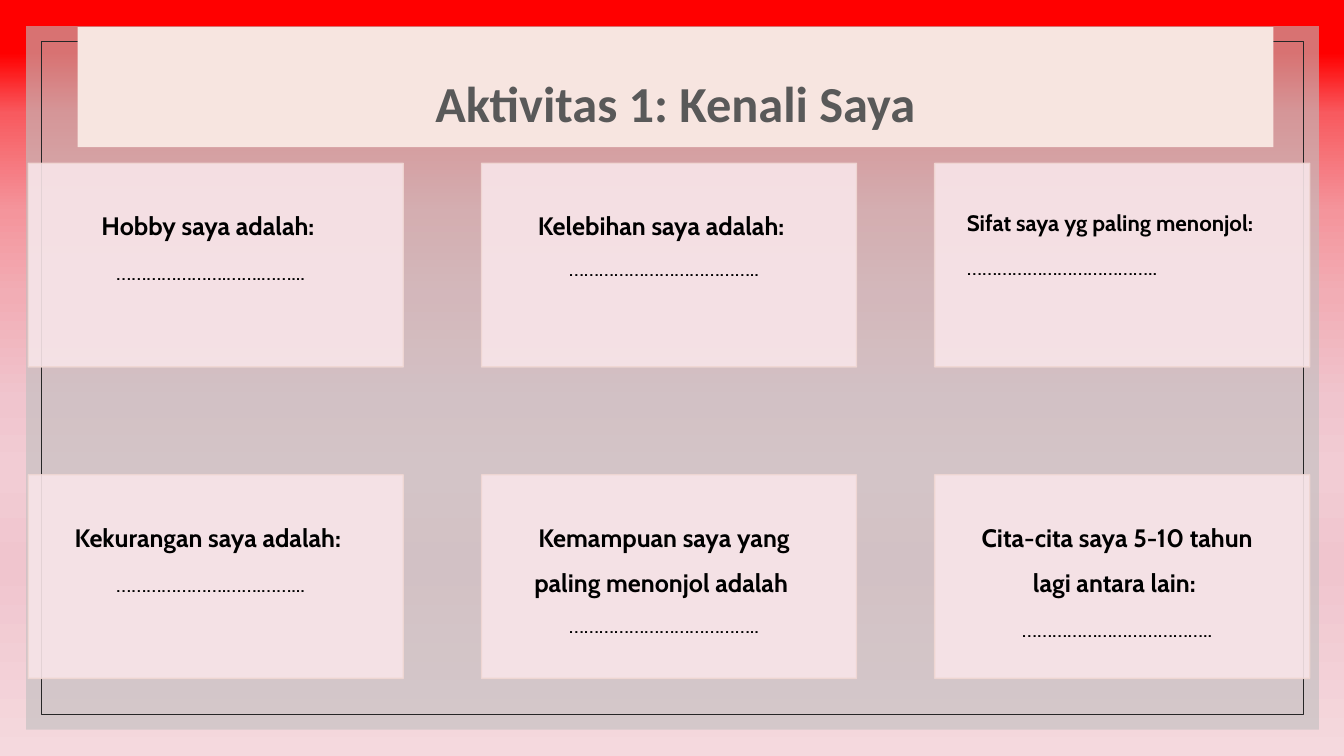
"""Build the slide "Aktivitas 1: Kenali Saya" with six fill-in cards."""
import pptx
import pptx.util
import pptx.dml.color
import pptx.enum.shapes
import pptx.enum.text
import pptx.oxml
import pptx.oxml.ns
from lxml import etree

Inches, Pt = pptx.util.Inches, pptx.util.Pt
RGB = pptx.dml.color.RGBColor.from_string
ALIGN = pptx.enum.text.PP_ALIGN
ANCHOR = pptx.enum.text.MSO_ANCHOR
qn = pptx.oxml.ns.qn

COLORS = {"panel": "BFBFBF", "frame": "262626", "card": "F8E5E9", "edge": "F0D7D3",
          "banner": "F7E5E0", "title": "595959", "text": "000000"}
STOPS = [(7, "FF0000"), (15, "F85A5F"), (28, "F4959C"), (39, "F2ADB5"),
         (53, "F0C5CE"), (62, "F2CCD4"), (75, "F0C5CE"), (100, "F5D9DE")]

deck = pptx.Presentation()
deck.slide_width, deck.slide_height = Inches(13.33), Inches(7.5)
slide = deck.slides.add_slide(deck.slide_layouts[6])

back = slide.background.fill
back.gradient()
grad = slide.background._cSld.find(".//" + qn("a:gradFill"))
for child in list(grad):
    grad.remove(child)
stops = etree.SubElement(grad, qn("a:gsLst"))
for pos, color in STOPS:
    stop = etree.SubElement(stops, qn("a:gs"), pos=str(pos * 1000))
    etree.SubElement(stop, qn("a:srgbClr"), val=color)
etree.SubElement(grad, qn("a:lin"), ang="5400000", scaled="0")


def add_box(left, top, width, height, fill=None, line=None, weight=1, alpha=100):
    box = slide.shapes.add_shape(pptx.enum.shapes.MSO_SHAPE.RECTANGLE, Inches(left),
                                 Inches(top), Inches(width), Inches(height))
    box.shadow.inherit = False
    if fill:
        box.fill.solid()
        box.fill.fore_color.rgb = RGB(COLORS[fill])
    else:
        box.fill.background()
    if line:
        box.line.color.rgb = RGB(COLORS[line])
        box.line.width = Pt(weight)
    else:
        box.line.fill.background()
    if alpha < 100:
        for color in box._element.spPr.iter(qn("a:srgbClr")):
            etree.SubElement(color, qn("a:alpha"), val=str(alpha * 1000))
    return box


def add_run(para, text, size, bold, font="Cabin", color="text"):
    run = para.add_run()
    run.text = text
    run.font.name, run.font.size, run.font.bold = font, Pt(size), bold
    run.font.color.rgb = RGB(COLORS[color])


add_box(0.26, 0.26, 12.82, 6.98, fill="panel", alpha=60)
add_box(0.41, 0.41, 12.52, 6.68, line="frame", weight=0.5)

LONG, SHORT = "………………………………..", "………………….…….……..."
CARDS = [
    ("Hobby saya adalah: ", SHORT, 18, 3, ALIGN.CENTER),
    ("Kelebihan saya adalah: ", LONG, 18, 0, ALIGN.CENTER),
    ("Sifat saya yg paling menonjol:", LONG, 16, 3, ALIGN.LEFT),
    ("Kekurangan saya adalah: ", SHORT, 18, 3, ALIGN.CENTER),
    ("Kemampuan saya yang paling menonjol adalah ", LONG, 18, 0, ALIGN.CENTER),
    ("Cita-cita saya 5-10 tahun lagi antara lain: ", LONG, 18, 3, ALIGN.CENTER),
]
for i, (prompt, dots, size, gap, align) in enumerate(CARDS):
    row, col = divmod(i, 3)
    card = add_box(0.28 + col * 4.495, 1.62 + row * 3.09, 3.72, 2.02,
                   fill="card", line="edge", alpha=90)
    frame = card.text_frame
    frame.word_wrap = True
    frame.vertical_anchor = ANCHOR.TOP
    frame.margin_left = frame.margin_top = Inches(0.32)
    frame.margin_right, frame.margin_bottom = Inches(0.42), Inches(0.47)
    ask, reply = frame.paragraphs[0], frame.add_paragraph()
    for para in (ask, reply):
        para.alignment, para.line_spacing = align, 1.5
    ask.space_after = Pt(gap)
    add_run(ask, prompt, size, True)
    add_run(reply, dots, 16, False)

banner = add_box(0.77, 0.27, 11.86, 1.19, fill="banner")
frame = banner.text_frame
frame.word_wrap = True
frame.vertical_anchor = ANCHOR.MIDDLE
head = frame.paragraphs[0]
head.alignment, head.line_spacing = ALIGN.CENTER, 1.5
add_run(head, "Aktivitas 1: Kenali Saya", 36, True, "Calibri", "title")

deck.save("out.pptx")
